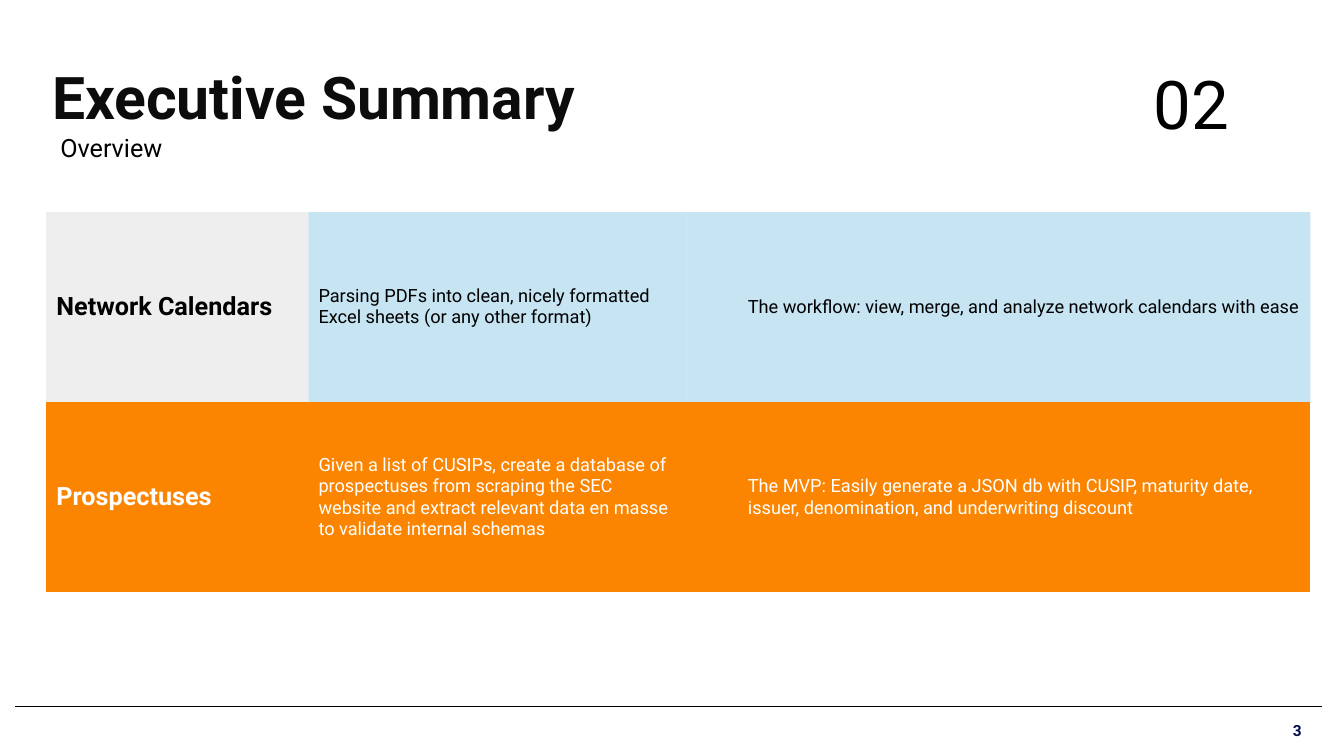
from lxml.etree import SubElement
from pptx import Presentation
from pptx.dml.color import RGBColor
from pptx.enum.shapes import MSO_CONNECTOR
from pptx.enum.text import MSO_ANCHOR, PP_ALIGN
from pptx.oxml.ns import qn
from pptx.util import Pt

BLACK, WHITE, INK, NAVY = "000000", "FFFFFF", "0C0C0C", "000D55"
GREY, SKY, ORANGE = "EEEEEE", "8ECAE6", "FB8500"
PLAIN_TABLE = "{2D5ABB26-0587-4C30-8999-92F81FD0307C}"


def color(value):
    return RGBColor.from_string(value)


class SlideBuilder:
    """Holds the style and the current slide."""

    font = "Roboto"

    def __init__(self, page):
        self.page = page

    def add_words(self, para, words, size, ink, bold=False,
                  align=PP_ALIGN.LEFT):
        para.alignment = align
        span = para.add_run()
        span.text = words
        styles = {"name": self.font, "size": Pt(size), "bold": bold}
        for name, value in styles.items():
            setattr(span.font, name, value)
        span.font.color.rgb = color(ink)

    def text(self, place, words, size, ink, inset=7.2,
             anchor=MSO_ANCHOR.TOP, **style):
        box = self.page.shapes.add_textbox(*map(Pt, place))
        layout = {"word_wrap": True, "vertical_anchor": anchor,
                  "margin_left": Pt(7.2), "margin_right": Pt(7.2),
                  "margin_top": Pt(inset), "margin_bottom": Pt(inset)}
        for name, value in layout.items():
            setattr(box.text_frame, name, value)
        self.add_words(box.text_frame.paragraphs[0], words, size, ink, **style)

    def line(self, left, right, top, ink, width):
        rule = self.page.shapes.add_connector(
            MSO_CONNECTOR.STRAIGHT, Pt(left), Pt(top), Pt(right), Pt(top))
        rule.line.color.rgb = color(ink)
        rule.line.width = Pt(width)
        SubElement(rule.element.spPr, qn("a:effectLst"))

    def table(self, left, top, widths, row_height, rows):
        frame = self.page.shapes.add_table(
            len(rows), len(widths), Pt(left), Pt(top),
            Pt(sum(widths)), Pt(row_height * len(rows)))
        grid = frame.table
        grid.first_row = grid.horz_banding = False
        for style in frame.element.iter(qn("a:tableStyleId")):
            style.text = PLAIN_TABLE
        for column, width in zip(grid.columns, widths):
            column.width = Pt(width)
        for row, (ink, fills, texts) in enumerate(rows):
            grid.rows[row].height = Pt(row_height)
            for column, (fill, words) in enumerate(zip(fills, texts)):
                self.cell(grid.cell(row, column), words, fill, ink,
                          heading=column == 0, indent=36 if column == 2 else 0)

    def cell(self, cell, words, fill, ink, heading, indent):
        cell.vertical_anchor = MSO_ANCHOR.MIDDLE
        cell.fill.solid()
        cell.fill.fore_color.rgb = color(fill)
        if fill == SKY:  # half transparent
            tint = next(cell._tc.tcPr.iter(qn("a:srgbClr")))
            SubElement(tint, qn("a:alpha")).set("val", "50000")
        para = cell.text_frame.paragraphs[0]
        self.add_words(para, words, 18 if heading else 13, ink, bold=heading)
        if indent:
            para._p.get_or_add_pPr().set("marL", str(Pt(indent)))


def main():
    deck = Presentation()
    deck.slide_width, deck.slide_height = Pt(960), Pt(540)
    slide = SlideBuilder(deck.slides.add_slide(deck.slide_layouts[6]))

    # Footer
    slide.line(10.8, 944, 504.7, BLACK, 0.75)
    slide.text((916.5, 511.9, 28.8, 19.4), "3", 11, NAVY, inset=3.6, bold=True)

    # Heading
    slide.text((30.2, 23, 872.6, 90.7), "Executive Summary", 42, INK,
               anchor=MSO_ANCHOR.MIDDLE, bold=True)
    slide.text((36, 87.1, 220.3, 54), "Overview", 18, BLACK)
    slide.text((702.7, 37.4, 182.2, 108.7), "02", 48, BLACK,
               align=PP_ALIGN.RIGHT)

    # Summary of the two projects
    slide.table(33.1, 151.5, (187.2, 270.7, 445), 135.8, [
        (BLACK, (GREY, SKY, SKY), (
            "Network Calendars",
            "Parsing PDFs into clean, nicely formatted Excel sheets "
            "(or any other format)",
            "The workflow: view, merge, and analyze network calendars "
            "with ease")),
        (WHITE, (ORANGE,) * 3, (
            "Prospectuses",
            "Given a list of CUSIPs, create a database of prospectuses from "
            "scraping the SEC website and extract relevant data en masse to "
            "validate internal schemas",
            "The MVP: Easily generate a JSON db with CUSIP, maturity date, "
            "issuer, denomination, and underwriting discount")),
    ])

    deck.save("out.pptx")


if __name__ == "__main__":
    main()
